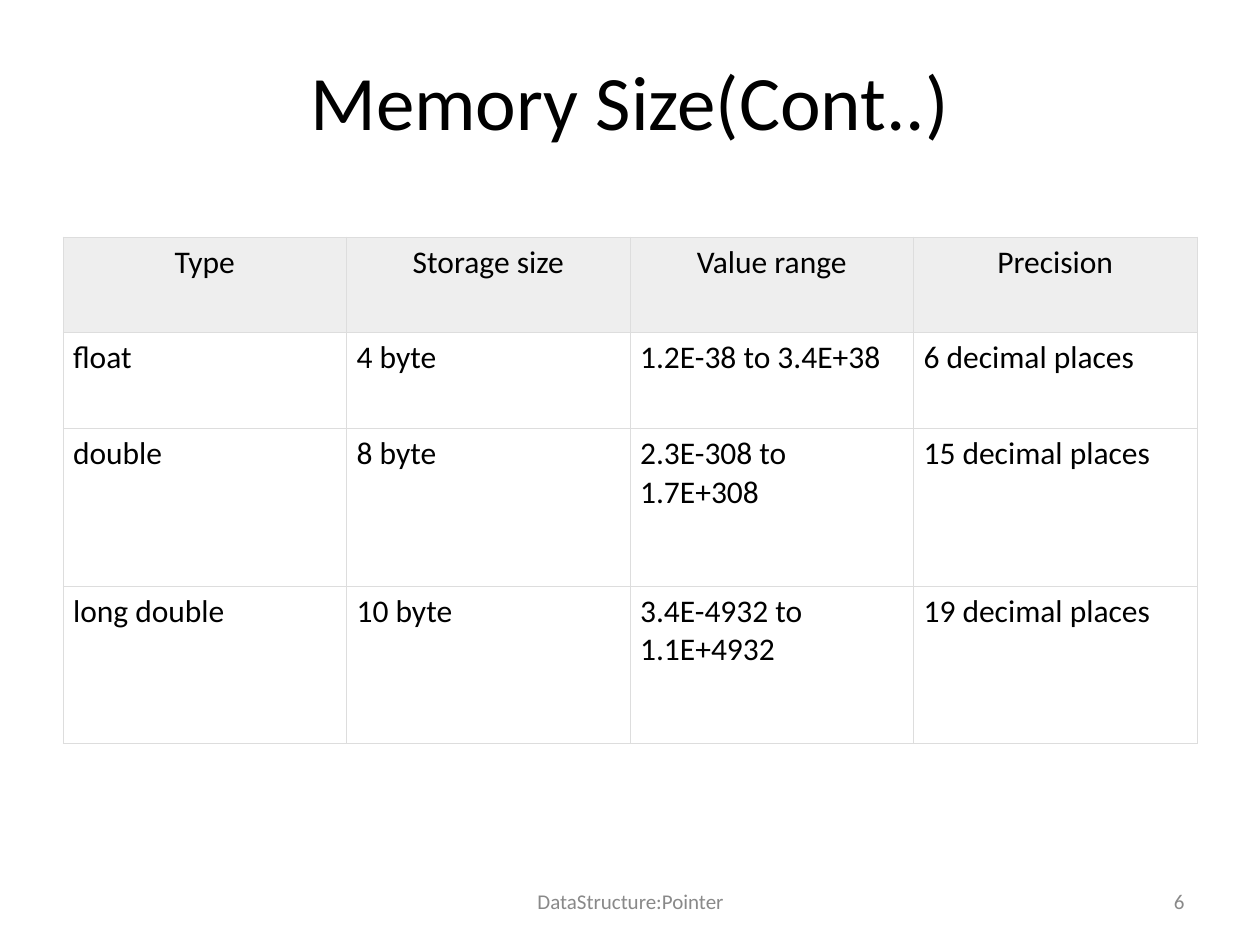
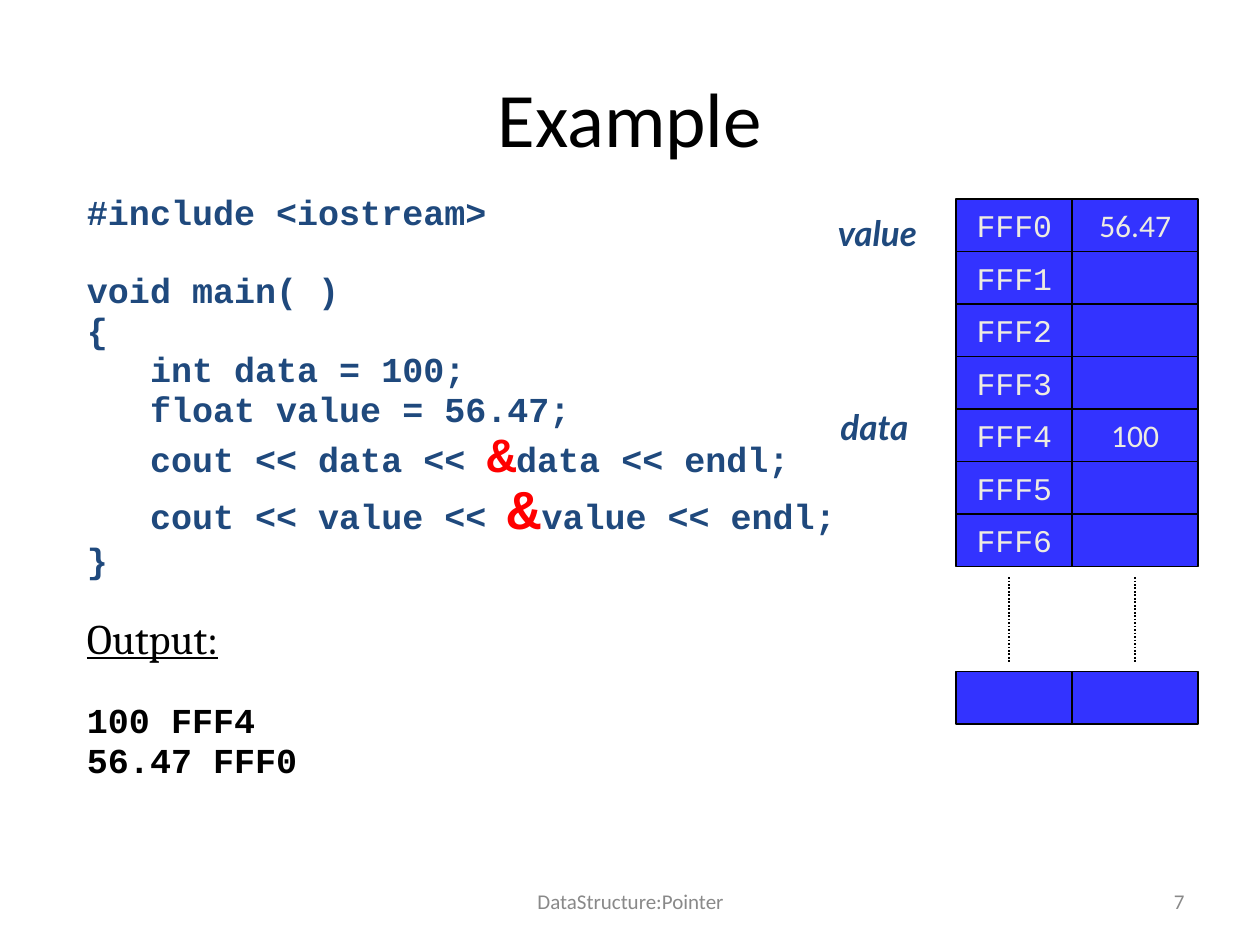
"""Build two slides on memory sizes and pointer addresses."""
from dataclasses import dataclass

from lxml import etree
from pptx import Presentation
from pptx import util as u
from pptx.dml.color import RGBColor
from pptx.enum import dml, shapes, text
from pptx.oxml import ns

Inches, Pt = u.Inches, u.Pt
LEFT, CENTER, RIGHT = text.PP_ALIGN.LEFT, text.PP_ALIGN.CENTER, text.PP_ALIGN.RIGHT
TOP, MIDDLE = text.MSO_ANCHOR.TOP, text.MSO_ANCHOR.MIDDLE


@dataclass(frozen=True)
class Style:
    font: str
    size: float
    color: str
    bold: bool = False
    italic: bool = False
    underline: bool = False


class Theme:
    black, white, navy, red = "000000", "FFFFFF", "1F497D", "FF0000"
    header_fill, grid, memory_fill = "EEEEEE", "DDDDDD", "3333FF"
    title = Style("Calibri", 44, black)
    footer = Style("Calibri", 12, "898989")
    cell = Style("Calibri", 18, black)
    code = Style("Courier New", 20, navy, bold=True)
    amp_small = Style("Courier New", 28, red, bold=True)
    amp_large = Style("Courier New", 32, red, bold=True)
    output = Style("Courier New", 20, black, bold=True)
    heading = Style("Cambria", 24, black, underline=True)
    address = Style("Courier New", 18, "EEECE1")
    content = Style("Calibri", 18, "EEECE1")
    label = Style("Lato", 20, navy, bold=True, italic=True)
    line_spacing = 0.74


def rgb(color):
    return RGBColor.from_string(color)


class Deck:
    def __init__(self, theme):
        self.theme = theme
        self.prs = Presentation()
        self.prs.slide_width, self.prs.slide_height = Inches(10), Inches(7.5)
        self.s = None

    def add_slide(self, layout, title, height, number):
        self.s = self.prs.slides.add_slide(self.prs.slide_layouts[layout])
        sp = self.s.shapes.title
        self.place(sp, 0.5, 0.3, 9, height)
        self.set_text(sp.text_frame, title, self.theme.title, CENTER, MIDDLE)
        self.text_box(3.42, 6.95, 3.17, 0.4, "DataStructure:Pointer",
                      self.theme.footer, CENTER, MIDDLE)
        self.text_box(7.17, 6.95, 2.33, 0.4, number, self.theme.footer, RIGHT, MIDDLE)

    def place(self, sp, left, top, width, height):
        sp.left, sp.top = Inches(left), Inches(top)
        sp.width, sp.height = Inches(width), Inches(height)

    def add_run(self, p, words, style):
        r = p.add_run()
        r.text = words
        r.font.name, r.font.size = style.font, Pt(style.size)
        r.font.bold, r.font.italic = style.bold, style.italic
        r.font.underline = style.underline
        r.font.color.rgb = rgb(style.color)

    def set_text(self, tf, words, style, align=LEFT, anchor=TOP, wrap=True):
        tf.word_wrap = wrap
        tf.auto_size = text.MSO_AUTO_SIZE.NONE
        tf.vertical_anchor = anchor
        p = tf.paragraphs[0]
        p.alignment = align
        self.add_run(p, words, style)

    def text_box(self, left, top, width, height, words, style,
                 align=LEFT, anchor=TOP, inset=0.1):
        sp = self.s.shapes.add_textbox(*map(Inches, (left, top, width, height)))
        tf = sp.text_frame
        tf.margin_left = tf.margin_right = Inches(inset)
        self.set_text(tf, words, style, align, anchor)

    def body(self, left, top, width, height, lines):
        sp = self.s.placeholders[1]
        self.place(sp, left, top, width, height)
        tf = sp.text_frame
        tf.word_wrap = True
        tf.auto_size = text.MSO_AUTO_SIZE.NONE
        tf.margin_left = tf.margin_right = 0
        for i, (before, runs) in enumerate(lines):
            p = tf.add_paragraph() if i else tf.paragraphs[0]
            pPr = p._p.get_or_add_pPr()
            pPr.set("marL", str(Inches(0.38)))
            pPr.set("indent", str(-Inches(0.38)))
            etree.SubElement(pPr, ns.qn("a:buNone"))
            p.space_before = Pt(before)
            p.line_spacing = self.theme.line_spacing
            for words, style in runs:
                self.add_run(p, words, style)

    def table(self, left, top, width, row_heights, rows):
        frame = self.s.shapes.add_table(
            len(rows), len(rows[0]), Inches(left), Inches(top),
            Inches(width), Inches(sum(row_heights)))
        table = frame.table
        table.first_row = table.horz_banding = False
        for i, row in enumerate(rows):
            table.rows[i].height = Inches(row_heights[i])
            for j, words in enumerate(row):
                cell = table.cell(i, j)
                cell.margin_left = cell.margin_right = Inches(0.08)
                self.border(cell)
                cell.fill.solid()
                cell.fill.fore_color.rgb = rgb(
                    self.theme.white if i else self.theme.header_fill)
                p = cell.text_frame.paragraphs[0]
                p.alignment = LEFT if i else CENTER
                self.add_run(p, words, self.theme.cell)

    def border(self, cell):
        tcPr = cell._tc.get_or_add_tcPr()
        for side in ("a:lnL", "a:lnR", "a:lnT", "a:lnB"):
            ln = etree.SubElement(tcPr, ns.qn(side), w=str(Pt(0.34)))
            fill = etree.SubElement(ln, ns.qn("a:solidFill"))
            etree.SubElement(fill, ns.qn("a:srgbClr"), val=self.theme.grid)

    def memory_cell(self, left, top, width, height, words, style):
        sp = self.s.shapes.add_shape(
            shapes.MSO_SHAPE.RECTANGLE, left, top, width, height)
        sp.shadow.inherit = False
        sp.fill.solid()
        sp.fill.fore_color.rgb = rgb(self.theme.memory_fill)
        sp.line.color.rgb = rgb(self.theme.black)
        sp.line.width = Pt(1)
        if words:
            self.set_text(sp.text_frame, words, style, CENTER, MIDDLE, wrap=False)

    def dotted_line(self, x, top, bottom):
        line = self.s.shapes.add_connector(
            shapes.MSO_CONNECTOR.STRAIGHT, *map(Inches, (x, top, x, bottom)))
        line.line.color.rgb = rgb(self.theme.black)
        line.line.width = Pt(1)
        line.line.dash_style = dml.MSO_LINE.ROUND_DOT
        etree.SubElement(line._element.spPr, ns.qn("a:effectLst"))


def memory_size(deck):
    deck.add_slide(5, "Memory Size(Cont..)", 0.99, "6")
    deck.table(0.5, 1.88, 9, [0.76, 0.76, 1.25, 1.25], [
        ("Type", "Storage size", "Value range", "Precision"),
        ("float", "4 byte", "1.2E-38 to 3.4E+38", "6 decimal places"),
        ("double", "8 byte", "2.3E-308 to 1.7E+308", "15 decimal places"),
        ("long double", "10 byte", "3.4E-4932 to 1.1E+4932", "19 decimal places"),
    ])


def example(deck):
    t = deck.theme
    deck.add_slide(1, "Example", 1.25, "7")
    deck.body(0.69, 1.54, 6.75, 4.71, [
        (0, [("#include <iostream>", t.code)]),
        (26.8, [("void main( )", t.code)]),
        (5, [("{", t.code)]),
        (5, [("   int data = 100;", t.code)]),
        (5, [("   float value = 56.47;", t.code)]),
        (5, [("   cout << data << ", t.code), ("&", t.amp_small),
             ("data << endl;", t.code)]),
        (5, [("   cout << value << ", t.code), ("&", t.amp_large),
             ("value << endl;", t.code)]),
        (5, [("}", t.code)]),
        (25.6, [("Output:", t.heading)]),
        (26.8, [("100 FFF4", t.output)]),
        (5, [("56.47 FFF0", t.output)]),
    ])

    row_height = Inches(1.25) // 3
    contents = {0: "56.47", 4: "100"}
    last_row = 9
    for row in [*range(7), last_row]:
        top = Inches(1.58) + row * row_height
        address = "" if row == last_row else f"FFF{row}"
        deck.memory_cell(Inches(7.59), top, Inches(0.92), row_height,
                         address, t.address)
        deck.memory_cell(Inches(8.51), top, Inches(1), row_height,
                         contents.get(row), t.content)
    for x in (8.01, 9.01):
        deck.dotted_line(x, 4.58, 5.25)
    deck.text_box(6.65, 1.63, 0.93, 0.44, "value", t.label, inset=0)
    deck.text_box(6.67, 3.17, 0.75, 0.44, "data", t.label, inset=0)


def main():
    deck = Deck(Theme())
    memory_size(deck)
    example(deck)
    deck.prs.save("out.pptx")


if __name__ == "__main__":
    main()
